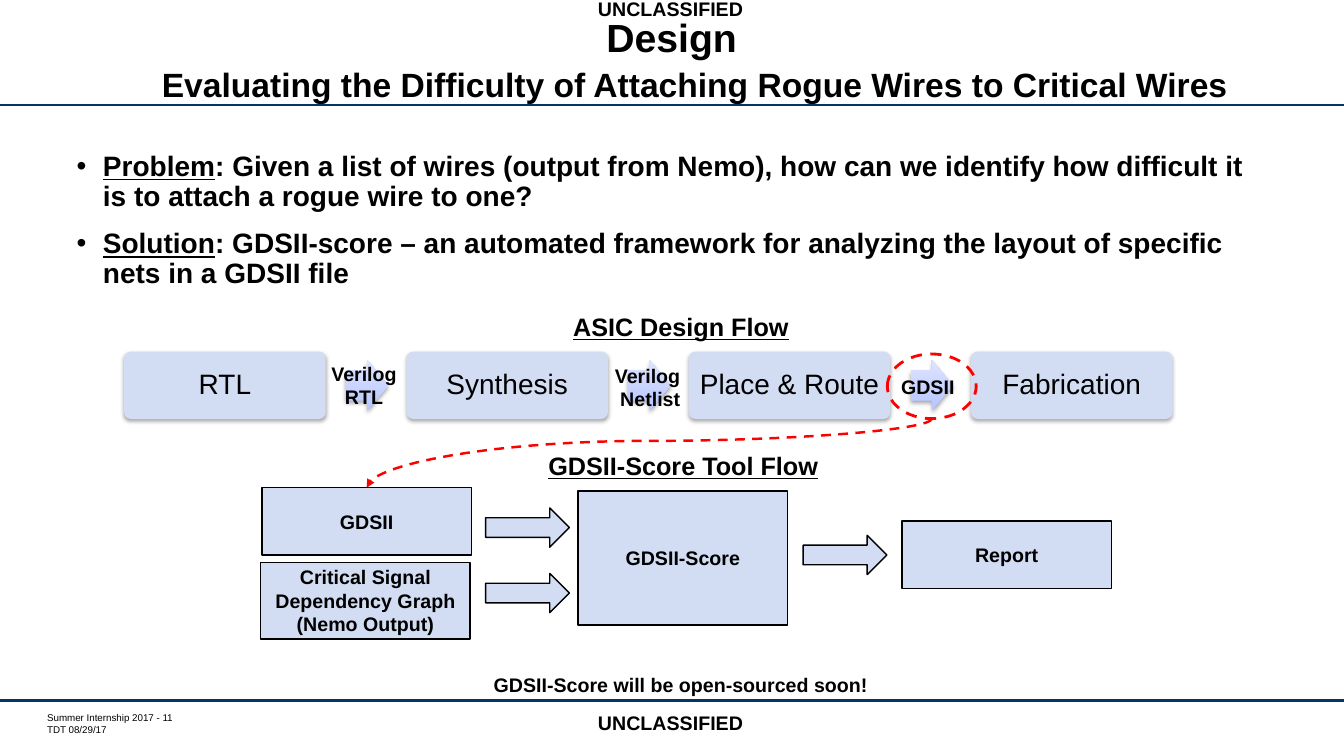
from lxml import etree
from pptx import Presentation
from pptx.dml.color import RGBColor
from pptx.enum.dml import MSO_LINE
from pptx.enum.shapes import MSO_CONNECTOR, MSO_SHAPE
from pptx.enum.text import MSO_ANCHOR, MSO_AUTO_SIZE, PP_ALIGN
from pptx.oxml.ns import qn
from pptx.util import Cm, Pt

CENTER, LEFT = PP_ALIGN.CENTER, PP_ALIGN.LEFT
TOP, MIDDLE = MSO_ANCHOR.TOP, MSO_ANCHOR.MIDDLE
NO_AUTOFIT = MSO_AUTO_SIZE.NONE
RECT, ROUNDED = MSO_SHAPE.RECTANGLE, MSO_SHAPE.ROUNDED_RECTANGLE
ARROW, OVAL = MSO_SHAPE.RIGHT_ARROW, MSO_SHAPE.OVAL
STRAIGHT, CURVE = MSO_CONNECTOR.STRAIGHT, MSO_CONNECTOR.CURVE
DASH = MSO_LINE.DASH

COLORS = {"text": "000000", "rule": "003767", "box": "D2DCF2", "mark": "FF0000",
          "arrow_low": "B6C5FF", "arrow_high": "DEE4FF"}
SLIDE_W, SLIDE_H = 33.87, 19.05


def rgb(name):
    return RGBColor.from_string(COLORS[name])


def place(shape, box):
    shape.left, shape.top, shape.width, shape.height = (Cm(v) for v in box)


def style(paragraph, size, bold=True, underline=None, align=CENTER):
    paragraph.alignment = align
    font = paragraph.font
    font.name, font.size, font.bold, font.underline = "Arial", Pt(size), bold, underline
    font.color.rgb = rgb("text")


def write(frame, lines, size, **options):
    for i, line in enumerate(lines):
        paragraph = frame.paragraphs[0] if i == 0 else frame.add_paragraph()
        paragraph.text = line
        style(paragraph, size, **options)


def add_label(slide, center, top, width, height, lines, size, **options):
    """Unwrapped text centred on a horizontal position."""
    label = slide.shapes.add_textbox(Cm(center - width / 2), Cm(top), Cm(width), Cm(height))
    label.text_frame.word_wrap = False
    write(label.text_frame, lines, size, **options)


def add_figure(slide, kind, box, fill=None, line=None, width=1):
    figure = slide.shapes.add_shape(kind, *(Cm(v) for v in box))
    figure.shadow.inherit = False
    if fill:
        figure.fill.solid()
        figure.fill.fore_color.rgb = rgb(fill)
    else:
        figure.fill.background()
    if line:
        figure.line.color.rgb = rgb(line)
        figure.line.width = Pt(width)
    else:
        figure.line.fill.background()
    return figure


def add_line(slide, kind, start, end, color):
    line = slide.shapes.add_connector(kind, *(Cm(v) for v in (*start, *end)))
    line.line.color.rgb = rgb(color)
    line.line.width = Pt(1.75)
    etree.SubElement(line._element.spPr, qn("a:effectLst"))
    return line


def drop_shadow(shape):
    effects = shape._element.spPr.find(qn("a:effectLst"))
    shadow = etree.SubElement(effects, qn("a:outerShdw"), blurRad="40000",
                              dist="23000", dir="5400000", rotWithShape="0")
    black = etree.SubElement(shadow, qn("a:srgbClr"), val=COLORS["text"])
    etree.SubElement(black, qn("a:alpha"), val="35000")


def add_frame(slide):
    # Rules, classification marks and footer
    for y in (2.64, 17.65):
        add_line(slide, STRAIGHT, (0, y), (SLIDE_W, y), "rule")
    for top in (-0.2, 17.78):
        add_label(slide, 16.9, top, 4.19, 0.86, ["UNCLASSIFIED"], 14)
    footer = slide.shapes.add_textbox(Cm(1.19), Cm(17.93), Cm(4.04), Cm(0.61)).text_frame
    footer.word_wrap = True
    footer.margin_left = footer.margin_right = footer.margin_top = footer.margin_bottom = 0
    write(footer, ["Summer Internship 2017 - 11", "TDT 08/29/17"], 7, bold=False, align=LEFT)


def add_headings(slide, box):
    # Title and subtitle
    left, top, width, height = box
    title, _, subtitle = slide.placeholders
    place(title, (left, top, width, 1.3))
    place(subtitle, (left, top + 1.24, width + 1.17, height - 1.24))
    properties = subtitle.text_frame.paragraphs[0]._p.get_or_add_pPr()
    properties.set("marL", "0")
    properties.set("indent", "0")
    etree.SubElement(properties, qn("a:buNone"))
    headings = ((title, "Design", 28),
                (subtitle, "Evaluating the Difficulty of Attaching Rogue Wires to Critical Wires", 24))
    for heading, text, size in headings:
        frame = heading.text_frame
        frame.auto_size, frame.vertical_anchor = NO_AUTOFIT, TOP
        write(frame, [text], size)
        frame.paragraphs[0].line_spacing = Pt(size)
        frame.paragraphs[0].space_before = Pt(0)


def add_points(slide, box):
    # Problem and solution bullets
    body = slide.placeholders[1]
    place(body, box)
    frame = body.text_frame
    frame.auto_size, frame.vertical_anchor = NO_AUTOFIT, TOP
    points = (
        ("Problem", ": Given a list of wires (output from Nemo), how can we identify "
                    "how difficult it is to attach a rogue wire to one?"),
        ("Solution", ": GDSII-score – an automated framework for analyzing the layout "
                     "of specific nets in a GDSII file"))
    for i, (term, explanation) in enumerate(points):
        point = frame.paragraphs[0] if i == 0 else frame.add_paragraph()
        properties = point._p.get_or_add_pPr()
        properties.set("marL", str(Cm(0.66)))
        properties.set("indent", str(-Cm(0.66)))
        etree.SubElement(properties, qn("a:buChar"), char="•")
        style(point, 20, align=LEFT)
        point.line_spacing = 0.9
        point.space_before = Pt(12 if i else 0)
        term_run = point.add_run()
        term_run.text = term
        term_run.font.underline = True
        point.add_run().text = explanation


def add_design_flow(slide, box):
    # ASIC steps with labelled arrows; returns the bottom of the marked output
    left, top, width, height = box
    step_w, arrow_w, arrow_h = 5.08, 1.07, 1.27
    steps = ("RTL", "Synthesis", "Place & Route", "Fabrication")
    outputs = ((("Verilog", "RTL"), -0.08, 0), (("Verilog ", "Netlist"), 0.02, 0.05),
               (("GDSII",), -0.1, 0.04))
    pitch = (width - step_w) / (len(steps) - 1)
    middle = top + height / 2
    add_label(slide, left + 14.03, top - 1.14, 5.99, 1.02, ["ASIC Design Flow"], 18,
              underline=True)
    for i, name in enumerate(steps):
        step = add_figure(slide, ROUNDED, (left + i * pitch, top, step_w, height), "box")
        step.adjustments[0] = 0.1
        drop_shadow(step)
        frame = step.text_frame
        frame.margin_left = frame.margin_right = Cm(0.2)
        frame.vertical_anchor = MIDDLE
        write(frame, [name], 20, bold=False)
        frame.paragraphs[0].line_spacing = 0.9
    for i, (lines, dx, dy) in enumerate(outputs):
        arrow_left = left + i * pitch + 5.59
        arrow = add_figure(slide, ARROW, (arrow_left, middle - arrow_h / 2, arrow_w, arrow_h))
        arrow.adjustments[0] = 0.6
        arrow.fill.gradient()
        arrow.fill.gradient_angle = 90
        for stop, color in zip(arrow.fill.gradient_stops, ("arrow_low", "arrow_high")):
            stop.color.rgb = rgb(color)
        drop_shadow(arrow)
        center = arrow_left + arrow_w / 2
        label_h = 0.86 if len(lines) == 1 else 1.45
        add_label(slide, center + dx, middle + dy - label_h / 2, 2.31, label_h, lines, 14)
    circle = add_figure(slide, OVAL, (center - 1.12, top + 0.06, 2.24, 1.63),
                        line="mark", width=2)
    circle.line.dash_style = DASH
    return center, top + 1.69


def add_tool_flow(slide, box):
    # GDSII-Score inputs, tool and report; returns the top of the GDSII input
    left, top, _, height = box
    box_w = 5.28
    add_label(slide, left + 10.65, top - 1.06, 7.37, 1.02, ["GDSII-Score Tool Flow"], 18,
              underline=True)
    parts = ((["GDSII"], 0.03, 0, 1.7),
             (["Critical Signal Dependency Graph", "(Nemo Output)"], 0, 1.88, height - 1.88),
             (["GDSII-Score"], 8, 0.08, 3.38),
             (["Report"], 16.16, 0.84, 1.7))
    for lines, x, y, part_h in parts:
        part = add_figure(slide, RECT, (left + x, top + y, box_w, part_h), "box", "text")
        part.text_frame.vertical_anchor = MIDDLE
        write(part.text_frame, lines, 14)
    for x, y in ((5.67, 0.51), (5.67, 2.16), (13.67, 1.2)):
        add_figure(slide, ARROW, (left + x, top + y, 2.11, 0.99), "box", "text")
    return left + 0.03 + box_w / 2, top


def add_handover(slide, start, end):
    # Dashed curve: a horizontal S turned by a quarter so it leaves downwards
    across, down = start[0] - end[0], end[1] - start[1]
    center_x, center_y = (start[0] + end[0]) / 2, (start[1] + end[1]) / 2
    curve = add_line(slide, CURVE, (center_x - down / 2, center_y - across / 2),
                     (center_x + down / 2, center_y + across / 2), "mark")
    curve.line.dash_style = DASH
    properties = curve._element.spPr
    properties.find(qn("a:xfrm")).set("rot", "5400000")
    guides = properties.find(qn("a:prstGeom")).find(qn("a:avLst"))
    etree.SubElement(guides, qn("a:gd"), name="adj1", fmla="val 32200")
    etree.SubElement(properties.find(qn("a:ln")), qn("a:tailEnd"), type="triangle")


def main():
    deck = Presentation()
    deck.slide_width, deck.slide_height = Cm(SLIDE_W), Cm(SLIDE_H)
    slide = deck.slides.add_slide(deck.slide_layouts[3])
    add_frame(slide)
    add_headings(slide, (3.49, 0.41, 26.87, 2.08))
    add_points(slide, (1.68, 3.71, 30.33, 13.41))
    marked_output = add_design_flow(slide, (3.13, 8.86, 26.42, 1.7))
    gdsii_input = add_tool_flow(slide, (6.57, 12.29, 21.44, 3.81))
    add_handover(slide, marked_output, gdsii_input)
    add_label(slide, 17.16, 16.84, 9.98, 0.86, ["GDSII-Score will be open-sourced soon!"], 14)
    deck.save("out.pptx")


if __name__ == "__main__":
    main()
